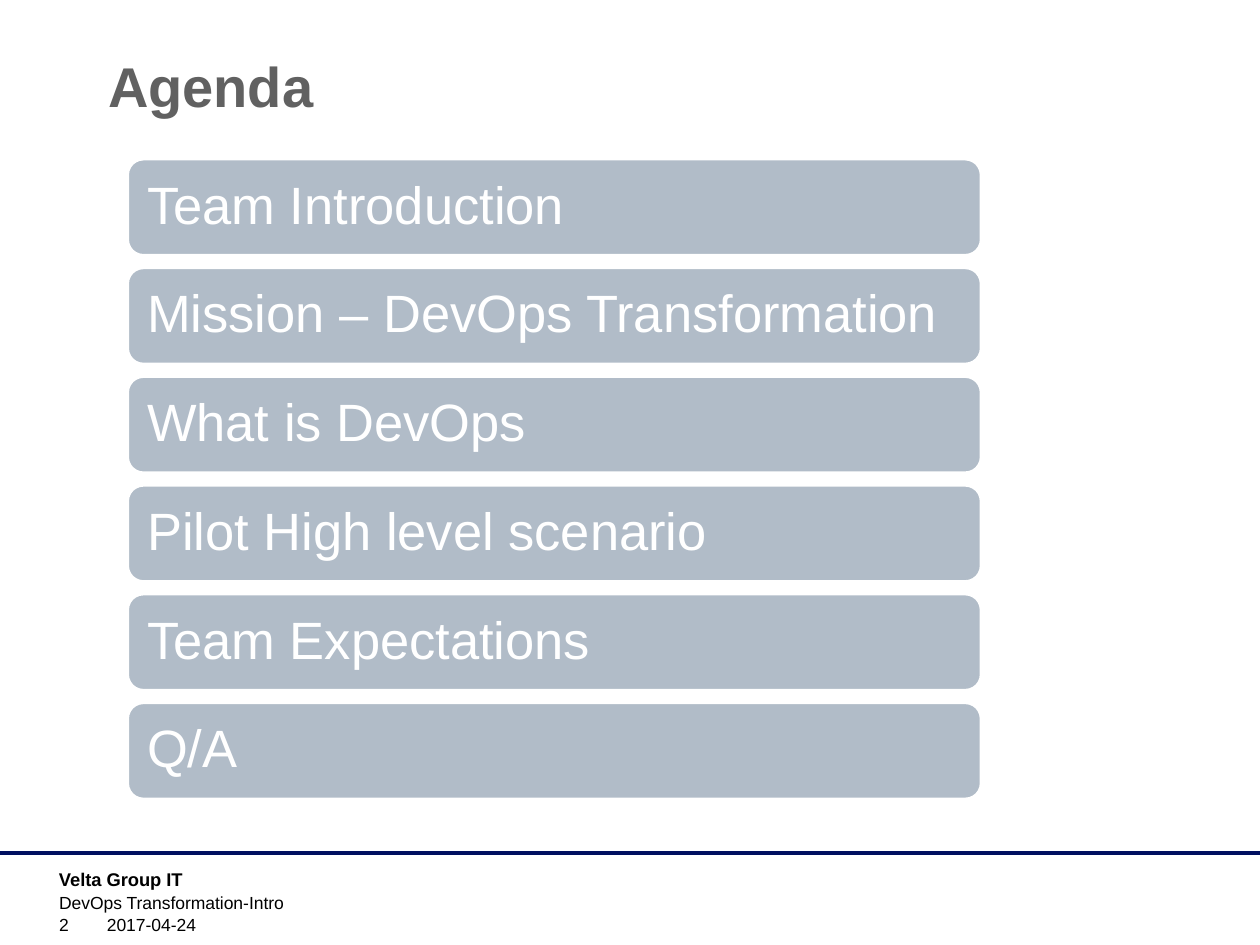
from lxml import etree
from pptx import Presentation
from pptx.dml.color import RGBColor
from pptx.enum.shapes import MSO_CONNECTOR, MSO_SHAPE
from pptx.enum.text import MSO_ANCHOR, PP_ALIGN
from pptx.oxml.ns import qn
from pptx.util import Inches, Pt

STRAIGHT = MSO_CONNECTOR.STRAIGHT
ROUNDED = MSO_SHAPE.ROUNDED_RECTANGLE
TOP, MIDDLE, BOTTOM = MSO_ANCHOR.TOP, MSO_ANCHOR.MIDDLE, MSO_ANCHOR.BOTTOM
LEFT = PP_ALIGN.LEFT

NAVY = RGBColor(0x00, 0x0F, 0x60)
BLUE_GREY = RGBColor(0xB1, 0xBC, 0xC8)
GREY = RGBColor(0x61, 0x61, 0x61)
BLACK = RGBColor(0x00, 0x00, 0x00)
WHITE = RGBColor(0xFF, 0xFF, 0xFF)

AGENDA = [
    "Team Introduction",
    "Mission – DevOps Transformation",
    "What is DevOps",
    "Pilot High level scenario",
    "Team Expectations",
    "Q/A",
]
LABELS = [
    ("Agenda", (0.76, 0.36, 5.5, 0.57), 32, GREY, True, TOP),
    ("Velta Group IT", (0.37, 6.84, 2.33, 0.24), 10.5, BLACK, True, TOP),
    ("DevOps Transformation-Intro", (0.37, 7.03, 7.52, 0.24), 10, BLACK, False, TOP),
    ("2", (0.37, 7.24, 0.55, 0.23), 10, BLACK, False, BOTTOM),
    ("2017-04-24", (0.75, 7.24, 2.63, 0.23), 10, BLACK, False, BOTTOM),
]
BAR_LEFT, BAR_TOP, BAR_WIDTH, BAR_HEIGHT = 1.01, 1.26, 6.78, 0.77
BAR_STEP = 0.863
BAR_INSET = 0.12
RULE_Y = 6.77


def write(shape, text, size, color, bold, anchor):
    frame = shape.text_frame
    frame.word_wrap = True
    frame.vertical_anchor = anchor
    line = frame.paragraphs[0]
    line.text = text
    line.alignment = LEFT
    line.font.name = "Arial"
    line.font.size = Pt(size)
    line.font.bold = bold
    line.font.color.rgb = color
    return frame


def add_bar(slide, index, topic):
    bar = slide.shapes.add_shape(
        ROUNDED, Inches(BAR_LEFT), Inches(BAR_TOP + index * BAR_STEP),
        Inches(BAR_WIDTH), Inches(BAR_HEIGHT))
    bar.shadow.inherit = False
    bar.fill.solid()
    bar.fill.fore_color.rgb = BLUE_GREY
    bar.line.color.rgb = WHITE
    bar.line.width = Pt(2)
    frame = write(bar, topic, 30, WHITE, False, MIDDLE)
    frame.margin_left = frame.margin_right = Inches(BAR_INSET)
    frame.margin_top = frame.margin_bottom = Inches(BAR_INSET)
    frame.paragraphs[0].line_spacing = 0.9


def main():
    deck = Presentation()
    deck.slide_width, deck.slide_height = Inches(10), Inches(7.5)
    slide = deck.slides.add_slide(deck.slide_layouts[6])

    rule = slide.shapes.add_connector(
        STRAIGHT, 0, Inches(RULE_Y), deck.slide_width, Inches(RULE_Y))
    rule.line.color.rgb = NAVY
    rule.line.width = Pt(2)
    etree.SubElement(rule._element.spPr, qn("a:effectLst"))

    for index, topic in enumerate(AGENDA):
        add_bar(slide, index, topic)

    for text, place, *style in LABELS:
        label = slide.shapes.add_textbox(*map(Inches, place))
        write(label, text, *style)

    deck.save("out.pptx")


if __name__ == "__main__":
    main()
